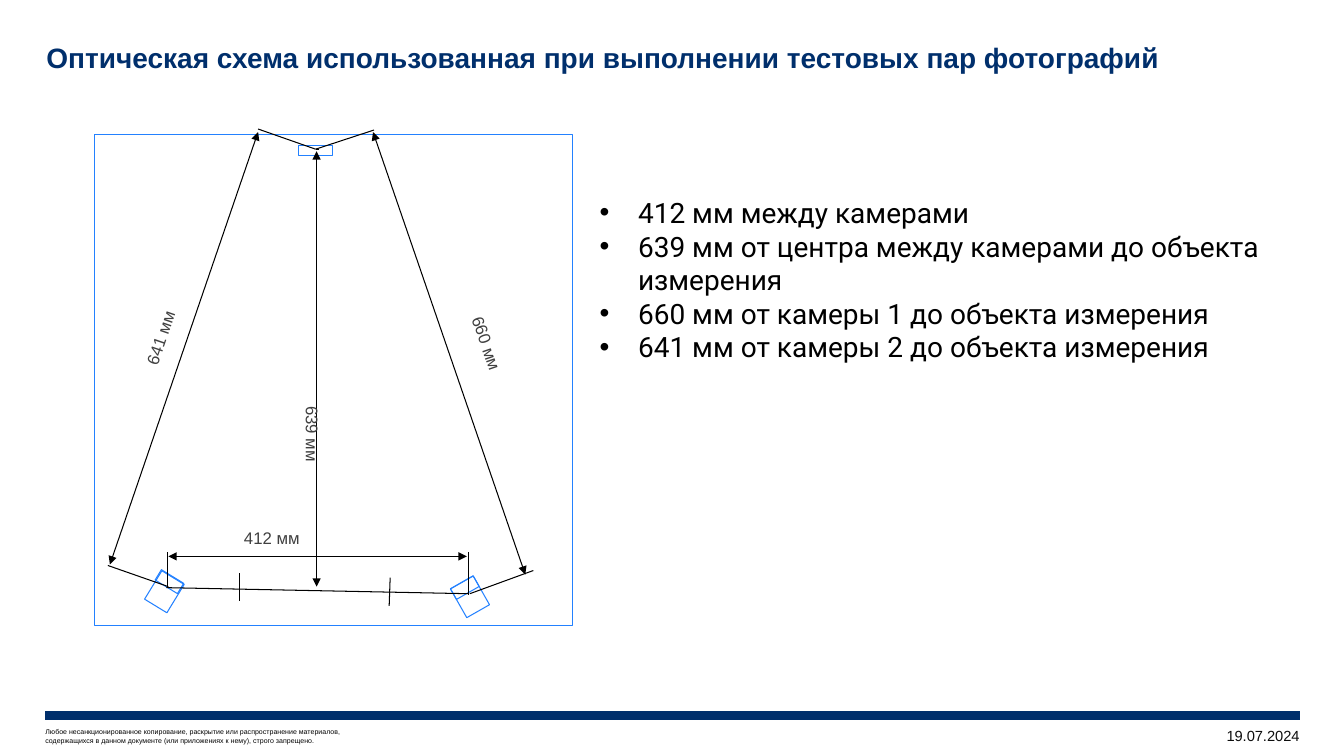
from collections import namedtuple

from pptx import Presentation
from pptx.dml.color import RGBColor
from pptx.enum.shapes import MSO_CONNECTOR, MSO_SHAPE
from pptx.enum.text import MSO_ANCHOR, PP_ALIGN
from pptx.oxml.ns import qn
from pptx.util import Inches, Pt
from lxml.etree import SubElement

COLORS = {"navy": "002F6C", "blue": "2381FF", "black": "000000",
          "label": "404040", "date": "0D0D0D"}
Box = namedtuple("Box", "left top width height")

TITLE = "Оптическая схема использованная при выполнении тестовых пар фотографий"
DISTANCES = [
    "412 мм между камерами",
    "639 мм от центра между камерами до объекта измерения",
    "660 мм от камеры 1 до объекта измерения",
    "641 мм от камеры 2 до объекта измерения",
]
NOTICE = ("Любое несанкционированное копирование, раскрытие или распространение материалов, \n"
          "содержащихся в данном документе (или приложениях к нему), строго запрещено.")
DATE = "19.07.2024"

OBJECT_POINT = (2.19, 0.15)
DIMENSIONS = [
    ((3.69, 4.19), (0.73, 4.19)),
    ((2.2, 0.17), (2.2, 4.49)),
    ((2.76, -0.02), (4.27, 4.37)),
    ((1.62, -0.02), (0.15, 4.27)),
]
PLAIN_LINES = [
    ((0.72, 4.5), (0.72, 4.15)),
    ((3.71, 4.57), (3.71, 4.15)),
    ((3.72, 4.56), (4.35, 4.33)),
    ((0.73, 4.49), (0.13, 4.28)),
    (OBJECT_POINT, (2.22, 0.15)),
    (OBJECT_POINT, (2.77, -0.04)),
    (OBJECT_POINT, (1.62, -0.05)),
    ((0.71, 4.5), (3.7, 4.56)),
    ((1.44, 4.63), (1.44, 4.35)),
    ((2.92, 4.68), (2.93, 4.4)),
]
LABELS = [
    ("412 мм", (1.76, 4.01), 0),
    ("639 мм", (2.16, 2.98), 90),
    ("660 мм", (3.89, 2.08), 71.1),
    ("641 мм", (0.65, 2.02), 288.9),
]
CAMERAS = [
    ((3.72, 4.59), (3.67, 4.5), 150.4),
    ((0.69, 4.54), (0.74, 4.44), 211.4),
]


def inches(box):
    """Return the box as lengths for python-pptx."""
    return [Inches(length) for length in box]


def centred(area, centre, width, height):
    """Return a box around a centre measured from the corner of the area."""
    return Box(area.left + centre[0] - width / 2, area.top + centre[1] - height / 2,
               width, height)


def style_runs(para, size, color, font="Arial", bold=False):
    """Format every run of a paragraph."""
    for run in para.runs:
        run.font.size = Pt(size)
        run.font.name = font
        run.font.bold = bold
        run.font.color.rgb = RGBColor.from_string(COLORS[color])


def clear_margins(frame):
    """Remove the inner margins of a text frame."""
    frame.margin_left = frame.margin_top = frame.margin_right = frame.margin_bottom = 0


def add_text(page, box, text, size, color, align=PP_ALIGN.LEFT, wrap=True):
    """Add one paragraph in a text box without margins."""
    shape = page.shapes.add_textbox(*inches(box))
    frame = shape.text_frame
    clear_margins(frame)
    frame.word_wrap = wrap
    para = frame.paragraphs[0]
    para.text = text
    para.alignment = align
    style_runs(para, size, color)
    return shape


def add_line(page, start, end, color="black", width=0.75, arrows=False):
    """Add a straight line, with arrowheads at both ends if asked."""
    line = page.shapes.add_connector(MSO_CONNECTOR.STRAIGHT, *inches(start + end))
    line.line.width = Pt(width)
    line.line.color.rgb = RGBColor.from_string(COLORS[color])
    properties = line._element.spPr
    if arrows:
        for end_name in ("a:headEnd", "a:tailEnd"):
            SubElement(properties.find(qn("a:ln")), qn(end_name), type="triangle")
    SubElement(properties, qn("a:effectLst"))


def add_outline(page, box, rotation=0):
    """Add an unfilled blue rectangle."""
    shape = page.shapes.add_shape(MSO_SHAPE.RECTANGLE, *inches(box))
    shape.shadow.inherit = False
    shape.fill.background()
    shape.line.color.rgb = RGBColor.from_string(COLORS["blue"])
    shape.line.width = Pt(0.75)
    shape.rotation = rotation


def build_title(page, box):
    """Place and format the title placeholder."""
    title = page.shapes.title
    title.left, title.top, title.width, title.height = inches(box)
    frame = title.text_frame
    frame.text = TITLE
    clear_margins(frame)
    frame.margin_top = Inches(0.04)
    frame.word_wrap = True
    frame.vertical_anchor = MSO_ANCHOR.MIDDLE
    para = frame.paragraphs[0]
    para.alignment = PP_ALIGN.LEFT
    para.line_spacing = 0.85
    style_runs(para, 20, "navy", bold=True)


def build_scheme(page, box):
    """Draw the two cameras, the measured object and the dimensions."""
    def place(point):
        """Move a point of the scheme onto the slide."""
        return box.left + point[0], box.top + point[1]

    add_outline(page, box)
    add_outline(page, centred(box, (2.19, 0.16), 0.34, 0.1))
    for body, lens, rotation in CAMERAS:
        add_outline(page, centred(box, body, 0.26, 0.33), rotation)
        add_outline(page, centred(box, lens, 0.26, 0.12), rotation)
    for start, end in DIMENSIONS:
        add_line(page, place(start), place(end), arrows=True)
    for start, end in PLAIN_LINES:
        add_line(page, place(start), place(end))
    for text, centre, rotation in LABELS:
        label = add_text(page, centred(box, centre, 0.56, 0.2), text, 12, "label", wrap=False)
        label.rotation = rotation


def build_distances(page, box):
    """List the measured distances as bullets."""
    frame = page.shapes.add_textbox(*inches(box)).text_frame
    frame.word_wrap = True
    for index, text in enumerate(DISTANCES):
        para = frame.add_paragraph() if index else frame.paragraphs[0]
        properties = para._p.get_or_add_pPr()
        properties.set("marL", str(Inches(0.38)))
        properties.set("indent", str(-Inches(0.38)))
        SubElement(properties, qn("a:buFont"), typeface="Arial")
        SubElement(properties, qn("a:buChar"), char="•")
        para.text = text
        style_runs(para, 20, "black", font="Roboto")


def build_footer(page, box):
    """Draw the footer bar with the notice and the date under it."""
    right = box.left + box.width
    add_line(page, (box.left, box.top), (right, box.top), "navy", 6)
    notice = Box(box.left, box.top + 0.12, 5.12, 0.17)
    add_text(page, notice, NOTICE, 5, "black").text_frame.vertical_anchor = MSO_ANCHOR.MIDDLE
    date = Box(right - 0.94, box.top + 0.11, 0.94, 0.18)
    add_text(page, date, DATE, 10.5, "date", PP_ALIGN.RIGHT)


def main():
    """Build the slide and save the deck."""
    deck = Presentation()
    deck.slide_width, deck.slide_height = Inches(13.33), Inches(7.5)
    page = deck.slides.add_slide(deck.slide_layouts[5])
    build_footer(page, Box(0.45, 7.1, 12.44, 0.4))
    build_title(page, Box(0.46, 0.41, 11.35, 0.33))
    build_scheme(page, Box(0.94, 1.33, 4.74, 4.88))
    build_distances(page, Box(5.85, 1.89, 7.06, 1.78))
    deck.save("out.pptx")


if __name__ == "__main__":
    main()
